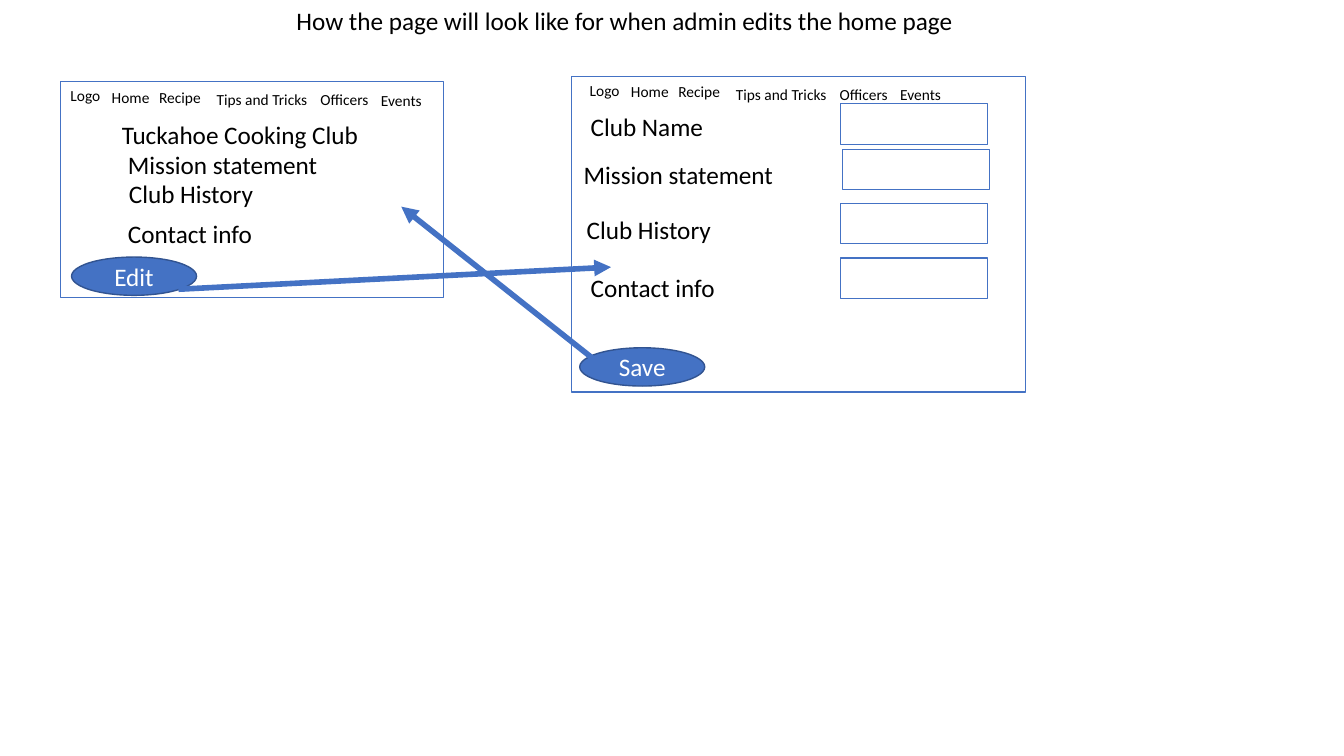
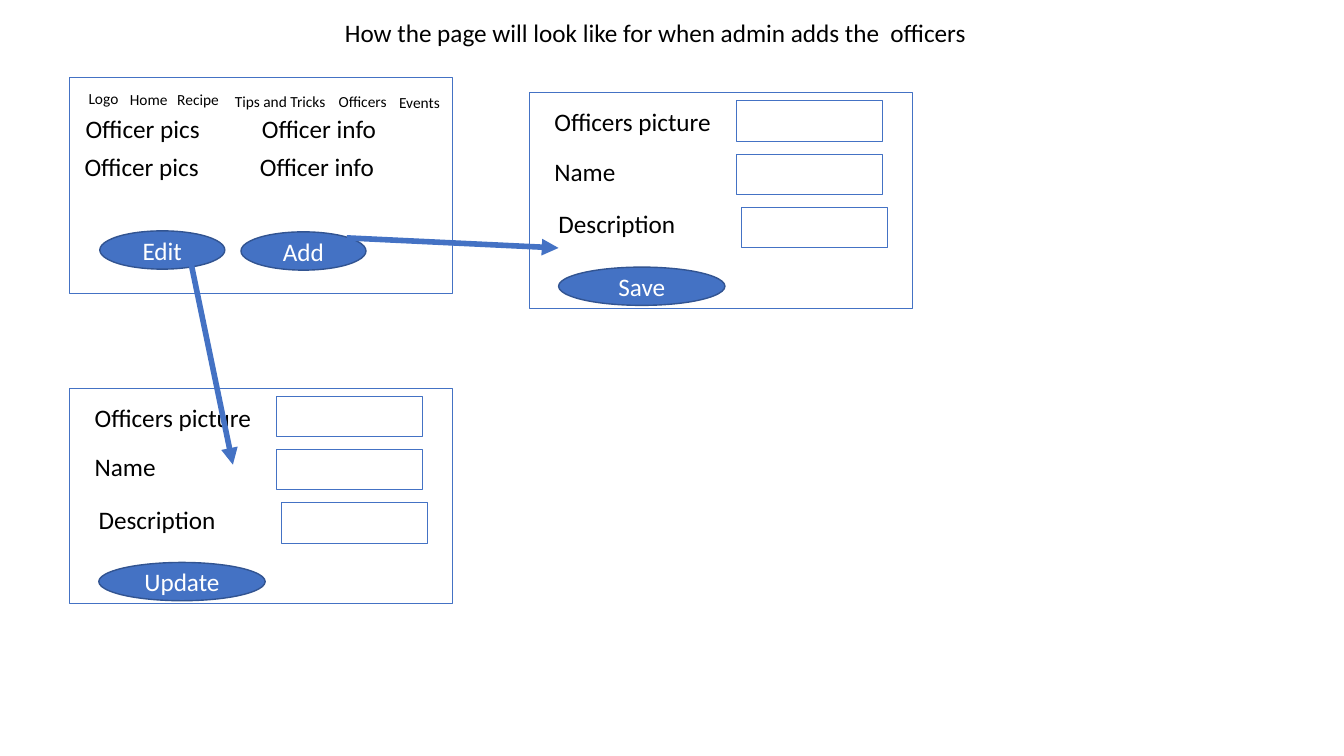
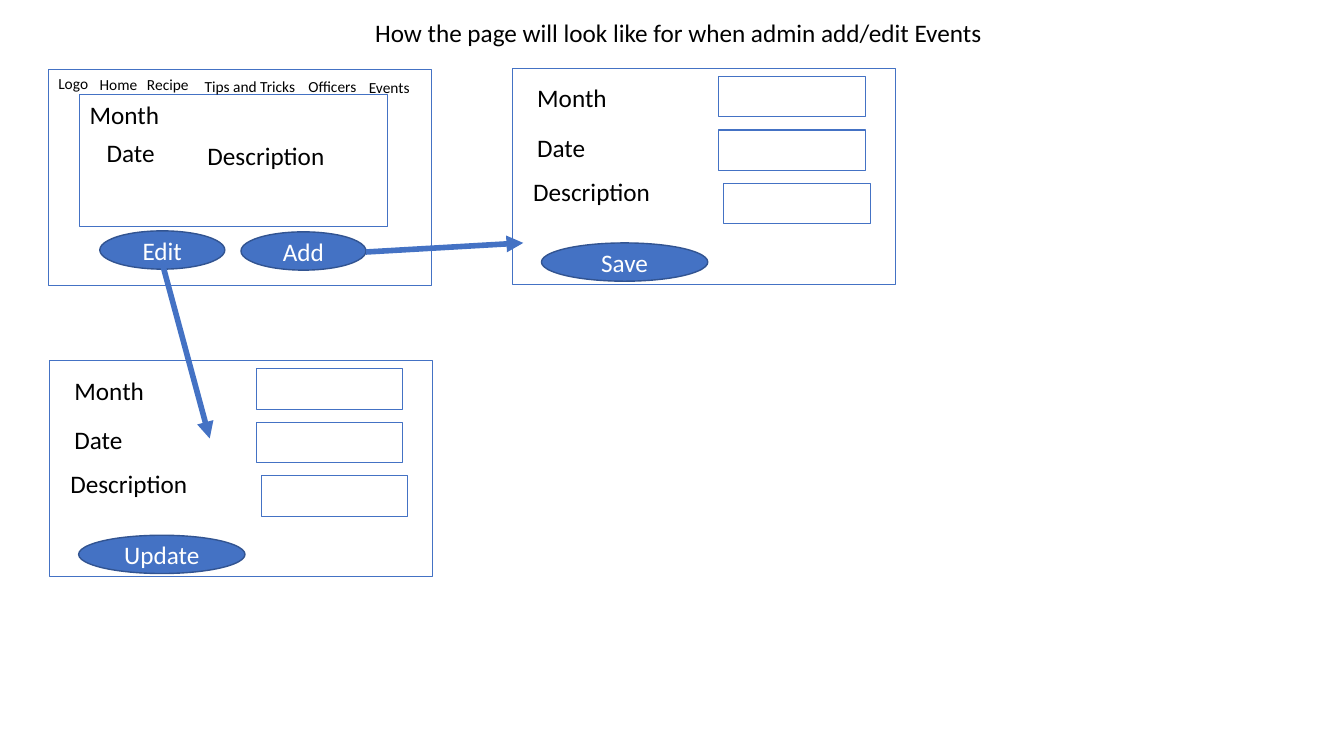
"""Build three wireframe slides showing the admin pages of a cooking club site."""
from lxml import etree
from pptx import Presentation
from pptx.dml.color import RGBColor
from pptx.enum.shapes import MSO_CONNECTOR, MSO_SHAPE
from pptx.enum.text import MSO_ANCHOR, MSO_AUTO_SIZE, PP_ALIGN
from pptx.oxml.ns import qn
from pptx.util import Pt

PX = 9144
SLIDE_SIZE = (1333, 750)
FONT = "Calibri"
COLORS = {"ink": "000000", "accent": "4472C4", "edge": "325491", "paper": "FFFFFF"}
RECTANGLE, OVAL = MSO_SHAPE.RECTANGLE, MSO_SHAPE.OVAL
STRAIGHT = MSO_CONNECTOR.STRAIGHT
TOP, MIDDLE = MSO_ANCHOR.TOP, MSO_ANCHOR.MIDDLE
LEFT, CENTER = PP_ALIGN.LEFT, PP_ALIGN.CENTER
NO_AUTOFIT = MSO_AUTO_SIZE.NONE

PAGE_SIZE = (380, 214)
FIELD_SIZE = (145, 40)
BUTTON_HEIGHT = 38
BUTTON_WIDTH = 124
FORM_BUTTON_WIDTH = 165
FORM_BUTTON_OFFSET = (29, 173)
FORM_FIELD_OFFSETS = [(205, 8), (205, 61), (210, 114)]
TEXT_HEIGHT = 40
NAV_HEIGHT = 29
NAV_ITEMS = [
    ("Logo", 0, 0, 63), ("Home", 41, 1, 63), ("Recipe", 88, 1, 73),
    ("Tips and Tricks", 145, 3, 125), ("Officers", 248, 3, 83), ("Events", 308, 4, 73),
]
OFFICER_LABELS = [("Officers picture", 15, 9), ("Name", 15, 58), ("Description", 19, 110)]
EVENT_LABELS = [("Month", 15, 9), ("Date", 15, 58), ("Description", 11, 102)]
FORM_LABEL_WIDTH = 187

SLIDES = [
    {
        "title": ("How the page will look like for when admin edits the home page", 284, 0, 680),
        "panels": [("", 60, 81, *PAGE_SIZE), ("", 567, 76, 450, 313)],
        "navs": [(60, 81), (575, 76)],
        "labels": [
            ("Tuckahoe Cooking Club", 111, 113, 281), ("Mission statement", 117, 143, 280),
            ("Club History", 118, 172, 152), ("Contact info", 117, 212, 209),
            ("Club Name", 576, 106, 281), ("Mission statement", 569, 153, 280),
            ("Club History", 572, 208, 152), ("Contact info", 576, 265, 209),
        ],
        "fields": [(834, 103), (836, 148), (834, 202), (834, 256)],
        "buttons": [("Edit", 71, 255), ("Save", 575, 345)],
        "forms": [],
        "arrows": [(177, 287, 606, 265), (596, 362, 398, 205)],
    },
    {
        "title": ("How the page will look like for when admin adds the  officers", 332, 12, 675),
        "panels": [("", 69, 77, *PAGE_SIZE)],
        "navs": [(78, 83)],
        "labels": [
            ("Officer pics", 75, 108, 143), ("Officer info", 250, 108, 138),
            ("Officer pics", 74, 145, 143), ("Officer info", 248, 145, 138),
        ],
        "fields": [],
        "buttons": [("Edit", 99, 229), ("Add", 239, 230)],
        "forms": [("Save", 525, 92, OFFICER_LABELS), ("Update", 69, 385, OFFICER_LABELS)],
        "arrows": [(344, 236, 554, 246), (188, 254, 231, 461)],
    },
    {
        "title": ("How the page will look like for when admin add/edit Events", 362, 12, 630),
        "panels": [("", 48, 69, *PAGE_SIZE), ("Month", 79, 94, 305, 131)],
        "navs": [(48, 69)],
        "labels": [("Date", 96, 131, 68), ("Description", 196, 134, 187)],
        "fields": [],
        "buttons": [("Edit", 99, 229), ("Add", 239, 230)],
        "forms": [("Save", 508, 68, EVENT_LABELS), ("Update", 49, 358, EVENT_LABELS)],
        "arrows": [(363, 250, 519, 241), (162, 265, 208, 435)],
    },
]


def emu(*lengths):
    return [length * PX for length in lengths]


def color(name):
    return RGBColor.from_string(COLORS[name])


def write(holder, text, size=18, ink="ink", align=LEFT, anchor=TOP):
    frame = holder.text_frame
    frame.word_wrap = True
    frame.auto_size = NO_AUTOFIT
    frame.vertical_anchor = anchor
    frame.text = text
    paragraph = frame.paragraphs[0]
    paragraph.alignment = align
    paragraph.font.name = FONT
    paragraph.font.size = Pt(size)
    paragraph.font.color.rgb = color(ink)


def add_title(slide, text, x, y, width):
    title = slide.shapes.title
    title.left, title.top, title.width, title.height = emu(x, y, width, TEXT_HEIGHT)
    write(title, text)


def add_label(slide, text, x, y, width, height=TEXT_HEIGHT, size=18):
    write(slide.shapes.add_textbox(*emu(x, y, width, height)), text, size)


def add_nav(slide, x, y):
    for text, dx, dy, width in NAV_ITEMS:
        add_label(slide, text, x + dx, y + dy, width, NAV_HEIGHT, 11)


def add_panel(slide, text, x, y, width, height):
    panel = slide.shapes.add_shape(RECTANGLE, *emu(x, y, width, height))
    panel.shadow.inherit = False
    panel.fill.background()
    panel.line.color.rgb = color("accent")
    panel.line.width = Pt(0.75)
    if text:
        write(panel, text)


def add_button(slide, text, x, y, width=BUTTON_WIDTH):
    button = slide.shapes.add_shape(OVAL, *emu(x, y, width, BUTTON_HEIGHT))
    button.shadow.inherit = False
    button.fill.solid()
    button.fill.fore_color.rgb = color("accent")
    button.line.color.rgb = color("edge")
    button.line.width = Pt(1)
    write(button, text, ink="paper", align=CENTER, anchor=MIDDLE)


def add_form(slide, action, x, y, labels):
    add_panel(slide, "", x, y, *PAGE_SIZE)
    for (text, dx, dy), (field_dx, field_dy) in zip(labels, FORM_FIELD_OFFSETS):
        add_label(slide, text, x + dx, y + dy, FORM_LABEL_WIDTH)
        add_panel(slide, "", x + field_dx, y + field_dy, *FIELD_SIZE)
    dx, dy = FORM_BUTTON_OFFSET
    add_button(slide, action, x + dx, y + dy, FORM_BUTTON_WIDTH)


def add_arrow(slide, *ends):
    arrow = slide.shapes.add_connector(STRAIGHT, *emu(*ends))
    arrow.line.color.rgb = color("accent")
    arrow.line.width = Pt(4)
    etree.SubElement(arrow.line._get_or_add_ln(), qn("a:tailEnd"), type="triangle")
    etree.SubElement(arrow._element.spPr, qn("a:effectLst"))


def build_slide(deck, content):
    slide = deck.slides.add_slide(deck.slide_layouts[5])
    add_title(slide, *content["title"])
    for panel in content["panels"]:
        add_panel(slide, *panel)
    for nav in content["navs"]:
        add_nav(slide, *nav)
    for label in content["labels"]:
        add_label(slide, *label)
    for field in content["fields"]:
        add_panel(slide, "", *field, *FIELD_SIZE)
    for button in content["buttons"]:
        add_button(slide, *button)
    for form in content["forms"]:
        add_form(slide, *form)
    for arrow in content["arrows"]:
        add_arrow(slide, *arrow)


def main():
    deck = Presentation()
    deck.slide_width, deck.slide_height = emu(*SLIDE_SIZE)
    for content in SLIDES:
        build_slide(deck, content)
    deck.save("out.pptx")


if __name__ == "__main__":
    main()
